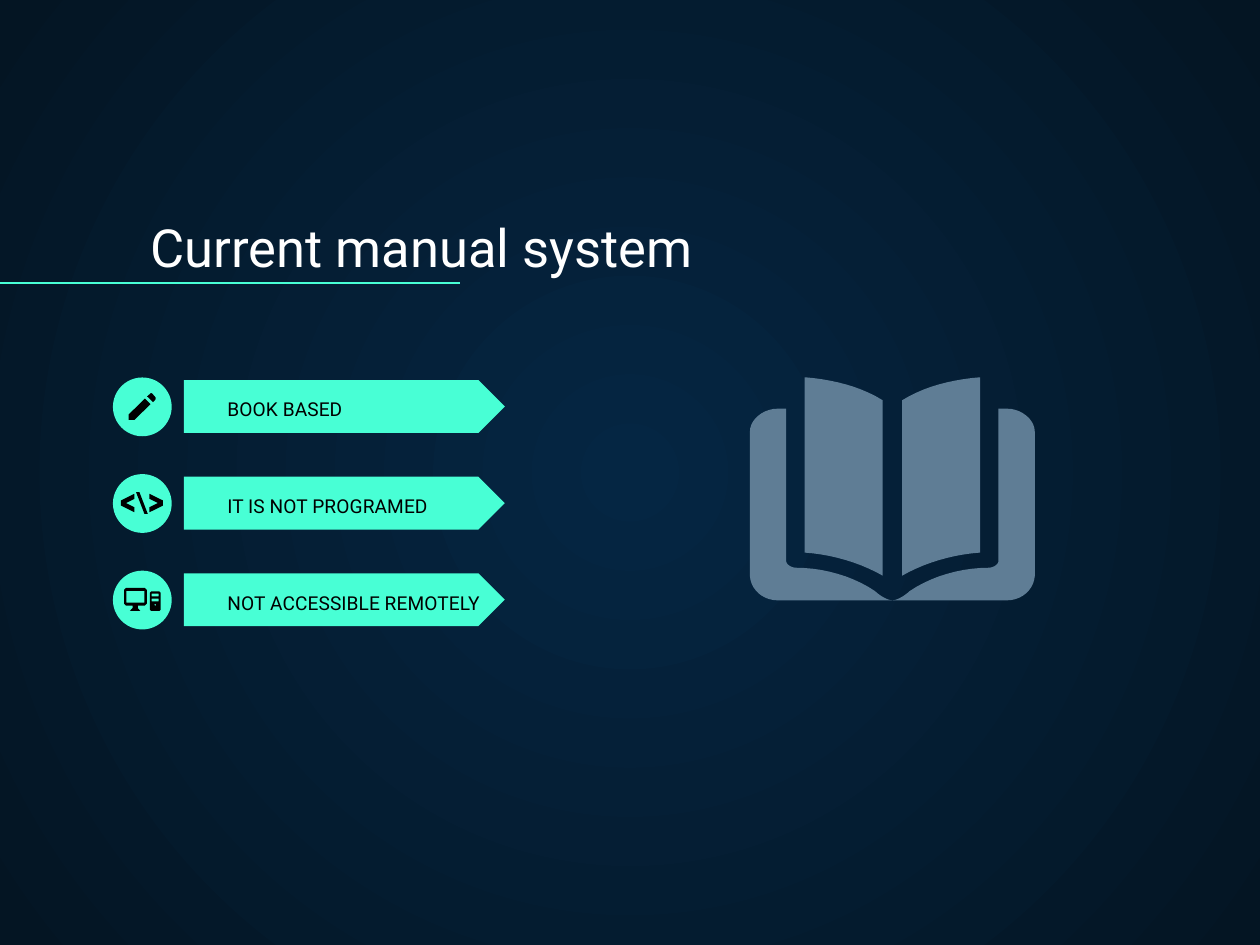
from lxml.etree import SubElement
from pptx import Presentation
from pptx.dml.color import RGBColor
from pptx.enum.shapes import MSO_CONNECTOR, MSO_SHAPE
from pptx.enum.text import MSO_ANCHOR, MSO_AUTO_SIZE
from pptx.oxml.ns import qn
from pptx.util import Emu, Inches, Pt

COLUMNS, ROWS = 750, 562.5
CELL = Inches(0.01)
MINT = RGBColor(0x48, 0xFF, 0xD5)
STEEL = RGBColor(0x5F, 0x7D, 0x95)
WHITE = RGBColor(0xFF, 0xFF, 0xFF)
BLACK = RGBColor(0x00, 0x00, 0x00)
NAVY = RGBColor(0x05, 0x26, 0x43)
MIDNIGHT = RGBColor(0x04, 0x15, 0x23)

LABELS = ["BOOK BASED", "IT IS NOT PROGRAMED", "NOT ACCESSIBLE REMOTELY"]
FIRST_ROW, ROW_PITCH = 224.7, 57.5
SPINE = 531.2
CURVE_STEPS = 10

PENCIL = [
    [(89.9, 234), (87.6, 236), (91.2, 239.4), (92.6, 237.8), (92.6, 236.6),
     (90.6, 234.2)],
    [(86.3, 237.3), (76.6, 246.8), (76.6, 250), (80, 250), (89.7, 240.6)],
]
BRACKET = [(80, 305), (72, 301), (72, 298), (80, 294), (80, 297), (75, 299.5), (80, 302)]
BACKSLASH = [(86, 306), (81, 293), (83, 293), (88, 306)]
MONITOR = [
    [(75, 350), (86.2, 350), (87.4, 351.2), (87.4, 359.3), (86.2, 360.5),
     (82, 360.5), (82, 362), (83.5, 363.7), (77.3, 363.7), (79, 362),
     (79, 360.5), (75, 360.5), (73.8, 359.3), (73.8, 351.2)],
    [(75.2, 351.7), (75.2, 358.8), (86, 358.8), (86, 351.7)],
]
TOWER = [
    [(90, 352), (94.8, 352), (95.6, 352.8), (95.6, 362.9), (94.8, 363.7),
     (90, 363.7), (89.2, 362.9), (89.2, 352.8)],
    [(90.3, 353.4), (90.3, 355), (94.5, 355), (94.5, 353.4)],
    [(90.3, 356.4), (90.3, 358), (94.5, 358), (94.5, 356.4)],
    [(92.4, 359.4), (91.8, 360), (92.4, 360.6), (93, 360)],
]
COVER = [
    (463, 243.3), (454, 243.3, 446.4, 250, 446.4, 257), (446.4, 343),
    (447, 351, 454, 357.4, 463, 357.4), (531.2, 357.4),
    (528, 357.4, 523, 354, 521, 352), (508, 343, 490, 338, 474, 338),
    (471, 338, 468, 336, 468, 334), (468, 243.3),
]
LEAF = [
    (479, 224.6), (479, 329), (495, 330, 512, 335, 525.4, 342.7),
    (525.4, 238.3), (512, 230, 496, 226, 479, 224.6),
]


def cells(*lengths):
    """Convert grid lengths to slide units."""
    return [Emu(round(length * CELL)) for length in lengths]


def apply(target, formats):
    """Set each format value on the target."""
    for name, value in formats.items():
        setattr(target, name, value)


def paint(shape, color):
    """Give a shape a flat fill without line or shadow."""
    shape.shadow.inherit = False
    shape.fill.solid()
    shape.fill.fore_color.rgb = color
    shape.line.fill.background()


def add_preset(page, kind, area, color):
    """Add a flat preset shape."""
    paint(page.shapes.add_shape(kind, *cells(*area)), color)


def add_outline(page, contours, color):
    """Add one free shape made of closed contours."""
    builder = None
    for contour in contours:
        start, *others = [cells(*point) for point in contour]
        if builder is None:
            builder = page.shapes.build_freeform(*start, scale=1.0)
        else:
            builder.move_to(*start)
        builder.add_line_segments(others, close=True)
    paint(builder.convert_to_shape(), color)


def trace(steps):
    """Turn line and cubic curve steps into points."""
    points = []
    for step in steps:
        if len(step) == 2:
            points.append(step)
            continue
        knots = [points[-1], step[:2], step[2:4], step[4:]]
        for index in range(1, CURVE_STEPS + 1):
            t = index / CURVE_STEPS
            weights = [(1 - t) ** 3, 3 * t * (1 - t) ** 2, 3 * t * t * (1 - t), t ** 3]
            points.append(tuple(
                sum(weight * knot[axis] for weight, knot in zip(weights, knots))
                for axis in (0, 1)))
    return points


def mirror(points, axis):
    """Reflect points across a vertical axis."""
    return [(2 * axis - x, y) for x, y in points]


def add_text(page, words, area, size, color):
    """Add a bottom-anchored line of text."""
    box = page.shapes.add_textbox(*cells(*area))
    inset, = cells(7)
    apply(box.text_frame, {
        "word_wrap": True, "auto_size": MSO_AUTO_SIZE.NONE,
        "vertical_anchor": MSO_ANCHOR.BOTTOM, "margin_left": inset,
        "margin_right": inset, "margin_top": inset, "margin_bottom": inset,
    })
    span = box.text_frame.paragraphs[0].add_run()
    span.text = words
    apply(span.font, {"name": "Roboto", "size": Pt(size)})
    span.font.color.rgb = color


def add_rule(page, start, end):
    """Add a thin mint line."""
    rule = page.shapes.add_connector(MSO_CONNECTOR.STRAIGHT, *cells(*start, *end))
    rule.line.color.rgb = MINT
    rule.line.width = Pt(0.75)
    SubElement(rule._element.spPr, qn("a:effectLst"))


def set_background(page):
    """Fill the page with a round gradient from its centre."""
    fill = page.background.fill
    fill.gradient()
    for stop, color in zip(fill.gradient_stops, (NAVY, MIDNIGHT)):
        stop.color.rgb = color
    gradient = page._element.find(".//" + qn("a:gradFill"))
    gradient.remove(gradient.find(qn("a:lin")))
    circle = SubElement(gradient, qn("a:path"), path="circle")
    SubElement(circle, qn("a:fillToRect"), l="50000", t="50000", r="50000", b="50000")


def add_row(page, index, label):
    """Add a badge and a labelled arrow."""
    top = FIRST_ROW + index * ROW_PITCH
    add_preset(page, MSO_SHAPE.OVAL, (67.2, top, 35, 35), MINT)
    add_preset(page, MSO_SHAPE.PENTAGON, (109.5, top + 1.6, 191, 31.4), MINT)
    add_text(page, label, (128.4, top + 16.8, 170, 16), 8.25, BLACK)


def add_icons(page):
    """Draw the pencil, code and computer icons."""
    code = [BRACKET, BACKSLASH, mirror(BRACKET, 84.5)]
    for contours in (PENCIL, code, MONITOR, TOWER):
        add_outline(page, contours, BLACK)


def add_book(page):
    """Draw the open book as two mirrored halves."""
    for steps in (COVER, LEAF):
        half = trace(steps)
        for side in (half, mirror(half, SPINE)):
            add_outline(page, [side], STEEL)


def main():
    """Build and save the slide."""
    deck = Presentation()
    deck.slide_width, deck.slide_height = cells(COLUMNS, ROWS)
    page = deck.slides.add_slide(deck.slide_layouts[6])
    set_background(page)
    add_text(page, "Current manual system", (82.4, 122.5, 643, 50), 22.5, WHITE)
    add_rule(page, (0, 168.5), (274, 168.5))
    for index, label in enumerate(LABELS):
        add_row(page, index, label)
    add_icons(page)
    add_book(page)
    deck.save("out.pptx")


main()
